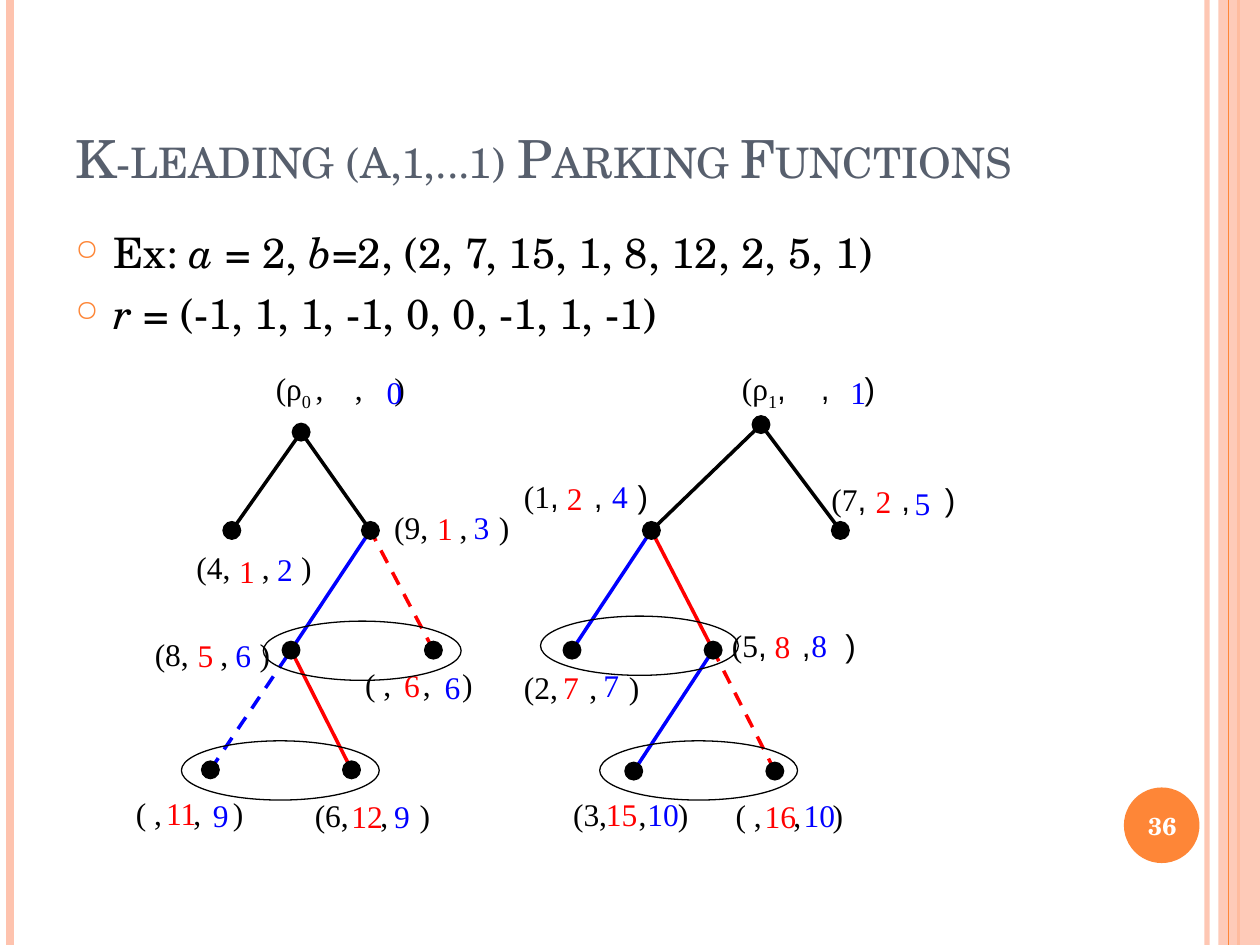
from dataclasses import dataclass

import lxml.etree
import pptx
import pptx.dml.color
import pptx.enum.dml
import pptx.enum.shapes
import pptx.enum.text
import pptx.oxml.ns
import pptx.util

COLUMNS, ROWS = 10, 7.5
ELLIPSE = pptx.enum.shapes.MSO_SHAPE.OVAL
RECTANGLE = pptx.enum.shapes.MSO_SHAPE.RECTANGLE
CENTER = pptx.enum.text.PP_ALIGN.CENTER
TOP = pptx.enum.text.MSO_ANCHOR.TOP
MIDDLE = pptx.enum.text.MSO_ANCHOR.MIDDLE
BOTTOM = pptx.enum.text.MSO_ANCHOR.BOTTOM


@dataclass(frozen=True)
class Theme:
    """Colours, fonts and type sizes of the slide."""
    accent: str = "FE8637"
    pale: str = "FEC3AE"
    heading: str = "575F6D"
    black: str = "000000"
    white: str = "FFFFFF"
    red: str = "FF0000"
    blue: str = "0000FF"
    serif: str = "TeX Gyre Schola"
    roman: str = "Times New Roman"
    sans: str = "Arial"
    title_size: float = 30
    body_size: float = 24
    label_size: float = 18
    number_size: float = 14
    dot: float = 0.14
    edge_width: float = 2


THEME = Theme()

NODES = {
    "root0": (2.39, 3.43), "4": (1.84, 4.21), "9": (2.94, 4.21),
    "8": (2.31, 5.16), "open6": (3.44, 5.16),
    "open11": (1.67, 6.11), "6": (2.79, 6.11),
    "root1": (6.04, 3.37), "1": (5.17, 4.21), "7": (6.67, 4.21),
    "2": (4.54, 5.16), "5": (5.66, 5.16),
    "3": (5.03, 6.12), "open16": (6.15, 6.12),
}

EDGES = [
    ("4", "root0", THEME.black, False), ("9", "root0", THEME.black, False),
    ("1", "root1", THEME.black, False), ("7", "root1", THEME.black, False),
    ("8", "9", THEME.blue, False), ("open6", "9", THEME.red, True),
    ("open11", "8", THEME.blue, True), ("6", "8", THEME.red, False),
    ("2", "1", THEME.blue, False), ("5", "1", THEME.red, False),
    ("3", "5", THEME.blue, False), ("open16", "5", THEME.red, True),
]

# Opening text, font of the gaps, left, top, width, red value, blue value.
LABELS = [
    ("(4", THEME.roman, 1.46, 4.30, 1.18, ("1", 1.80, 4.33), ("2", 2.10, 4.32)),
    ("(9", THEME.roman, 3.03, 3.98, 1.34, ("1", 3.37, 3.99), ("3", 3.66, 3.98)),
    ("(8", THEME.roman, 1.13, 4.99, 1.18, ("5", 1.47, 5.00), ("6", 1.77, 5.00)),
    ("( ", THEME.roman, 2.80, 5.23, 1.26, ("6", 3.11, 5.24), ("6", 3.43, 5.25)),
    ("( ", THEME.roman, 0.98, 6.25, 1.26, ("11", 1.22, 6.25), ("9", 1.59, 6.27)),
    ("(6", THEME.roman, 2.40, 6.27, 1.26, ("12", 2.69, 6.28), ("9", 3.03, 6.28)),
    ("(1", THEME.sans, 4.06, 3.74, 1.42, ("2", 4.40, 3.75), ("4", 4.76, 3.74)),
    ("(7", THEME.sans, 6.50, 3.76, 1.57, ("2", 6.85, 3.78), ("5", 7.16, 3.79)),
    ("(2", THEME.roman, 4.06, 5.25, 1.34, ("7", 4.37, 5.25), ("7", 4.69, 5.24)),
    ("(5", THEME.sans, 5.71, 4.92, 1.65, ("8", 6.05, 4.93), ("8", 6.34, 4.92)),
    ("(3", THEME.roman, 4.45, 6.26, 2.20, ("15", 4.71, 6.26), ("10", 5.04, 6.26)),
    ("( ", THEME.roman, 5.74, 6.27, 1.26, ("16", 5.97, 6.28), ("10", 6.28, 6.27)),
]
GAPS = ",    ,    )"


def grid(*lengths):
    """Turn grid columns and rows into slide lengths."""
    return [pptx.util.Inches(length) for length in lengths]


def rgb(color):
    """Return the colour object of a hex string."""
    return pptx.dml.color.RGBColor.from_string(color)


def add_xml(parent, tag, **attributes):
    """Append a DrawingML element."""
    element = lxml.etree.SubElement(parent, pptx.oxml.ns.qn(tag))
    for name, value in attributes.items():
        element.set(name, str(value))
    return element


def set_opacity(fill, percent):
    """Make a solid fill partly transparent."""
    color = fill._xPr.find(".//" + pptx.oxml.ns.qn("a:srgbClr"))
    add_xml(color, "a:alpha", val=percent * 1000)


def add_line(slide, start, end, color, width, dashed=False, opacity=100):
    """Draw a straight line between two grid points."""
    line = slide.shapes.add_connector(
        pptx.enum.shapes.MSO_CONNECTOR.STRAIGHT, *grid(*start, *end))
    line.line.color.rgb = rgb(color)
    line.line.width = pptx.util.Pt(width)
    if dashed:
        line.line.dash_style = pptx.enum.dml.MSO_LINE.DASH
    if opacity < 100:
        set_opacity(line.line.fill, opacity)
    add_xml(line._element.spPr, "a:effectLst")


def add_figure(slide, kind, box, fill=None, line=None, opacity=100):
    """Draw a preset shape with an optional fill and outline."""
    shape = slide.shapes.add_shape(kind, *grid(*box))
    shape.shadow.inherit = False
    if fill:
        shape.fill.solid()
        shape.fill.fore_color.rgb = rgb(fill)
        if opacity < 100:
            set_opacity(shape.fill, opacity)
    else:
        shape.fill.background()
    if line:
        shape.line.color.rgb = rgb(line)
        shape.line.width = pptx.util.Pt(0.75)
    else:
        shape.line.fill.background()


def add_text(slide, box, paragraphs, size, font=THEME.roman, color=THEME.black,
             bold=None, align=None, anchor=TOP, small_caps=False, bullet=None):
    """Write paragraphs of (text, run options) pairs in a text box."""
    frame = slide.shapes.add_textbox(*grid(*box)).text_frame
    frame.word_wrap = True
    frame.vertical_anchor = anchor
    for index, runs in enumerate(paragraphs):
        paragraph = frame.add_paragraph() if index else frame.paragraphs[0]
        paragraph.alignment = align
        if bullet:
            add_bullet(paragraph, bullet)
        for text, options in runs:
            run = paragraph.add_run()
            run.text = text
            run.font.size = pptx.util.Pt(size)
            run.font.name = options.get("font", font)
            run.font.color.rgb = rgb(color)
            run.font.bold = bold
            run.font.italic = options.get("italic")
            if small_caps:
                run.font._element.set("cap", "small")
            if "baseline" in options:
                run.font._element.set("baseline", str(options["baseline"] * 1000))


def add_bullet(paragraph, character):
    """Give a paragraph a hanging accent bullet."""
    paragraph.space_before = pptx.util.Pt(6)
    properties = paragraph._p.get_or_add_pPr()
    indent = pptx.util.Inches(0.3)
    properties.set("marL", str(indent))
    properties.set("indent", str(-indent))
    color = add_xml(properties, "a:buClr")
    add_xml(color, "a:srgbClr", val=THEME.accent)
    add_xml(properties, "a:buSzPct", val=70000)
    add_xml(properties, "a:buChar", char=character)


def add_frame(slide):
    """Draw the side stripes and the slide number."""
    for x, color, width, opacity in [(9.58, THEME.pale, 3, 93), (0.08, THEME.pale, 4.5, 100),
                                     (9.83, THEME.accent, 1.5, 100)]:
        add_line(slide, (x, 0), (x, ROWS), color, width, opacity=opacity)
    add_figure(slide, RECTANGLE, (9.67, 0, 0.33, ROWS), THEME.pale, opacity=87)
    add_line(slide, (9.75, 0), (9.75, ROWS), THEME.accent, 0.75)
    add_figure(slide, ELLIPSE, (8.92, 6.25, 0.6, 0.6), THEME.accent)
    add_text(slide, (8.89, 6.27, 0.67, 0.57), [[("36", {})]], THEME.number_size,
             font=THEME.serif, color=THEME.white, bold=True, align=CENTER, anchor=MIDDLE)


def add_value(slide, value, color):
    """Write one coloured number of a node label."""
    text, x, y = value
    add_text(slide, (x, y, 0.71, 0.4), [[(text, {})]], THEME.label_size, color=color)


def add_trees(slide):
    """Draw both trees with their labels and sibling rings."""
    for child, parent, color, dashed in EDGES:
        add_line(slide, NODES[child], NODES[parent], color, THEME.edge_width, dashed)
    for x, y in NODES.values():
        corner = (x - THEME.dot / 2, y - THEME.dot / 2)
        add_figure(slide, ELLIPSE, (*corner, THEME.dot, THEME.dot), THEME.black, THEME.black)
    for index, gap_font, x, width, value_x in [("0 ", THEME.roman, 2.09, 1.65, 2.97),
                                               ("1", THEME.sans, 5.79, 1.57, 6.65)]:
        runs = [("(ρ", {}), (index, {"baseline": -25}), (GAPS, {"font": gap_font})]
        add_text(slide, (x, 2.88, width, 0.4), [runs], THEME.label_size)
        add_value(slide, (index.strip(), value_x, 2.91), THEME.blue)
    for opening, gap_font, x, y, width, red, blue in LABELS:
        height = 0.7 if gap_font == THEME.sans else 0.4
        add_text(slide, (x, y, width, height),
                 [[(opening, {}), (GAPS, {"font": gap_font})]], THEME.label_size)
        add_value(slide, blue, THEME.blue)
        add_value(slide, red, THEME.red)
    for corner in [(2.09, 4.93), (4.29, 4.89), (1.44, 5.88), (4.76, 5.88)]:
        add_figure(slide, ELLIPSE, (*corner, 1.57, 0.47), line=THEME.black)


def main():
    """Build and save the slide."""
    presentation = pptx.Presentation()
    presentation.slide_width, presentation.slide_height = grid(COLUMNS, ROWS)
    slide = presentation.slides.add_slide(presentation.slide_layouts[6])
    add_frame(slide)
    add_text(slide, (0.5, 0.3, 8.17, 1.25), [[("K-leading (a,1,...1) Parking Functions", {})]],
             THEME.title_size, font=THEME.serif, color=THEME.heading,
             anchor=BOTTOM, small_caps=True)
    italic = {"italic": True}
    example = [("Ex: ", {}), ("a", italic), (" = 2, ", {}), ("b", italic),
               ("=2, (2, 7, 15, 1, 8, 12, 2, 5, 1)", {})]
    result = [("r", italic), (" = (-1, 1, 1, -1, 0, 0, -1, 1, -1)", {})]
    add_text(slide, (0.5, 1.75, 8.17, 5.33), [example, result], THEME.body_size,
             font=THEME.serif, bullet="○")
    add_trees(slide)
    presentation.save("out.pptx")


main()
